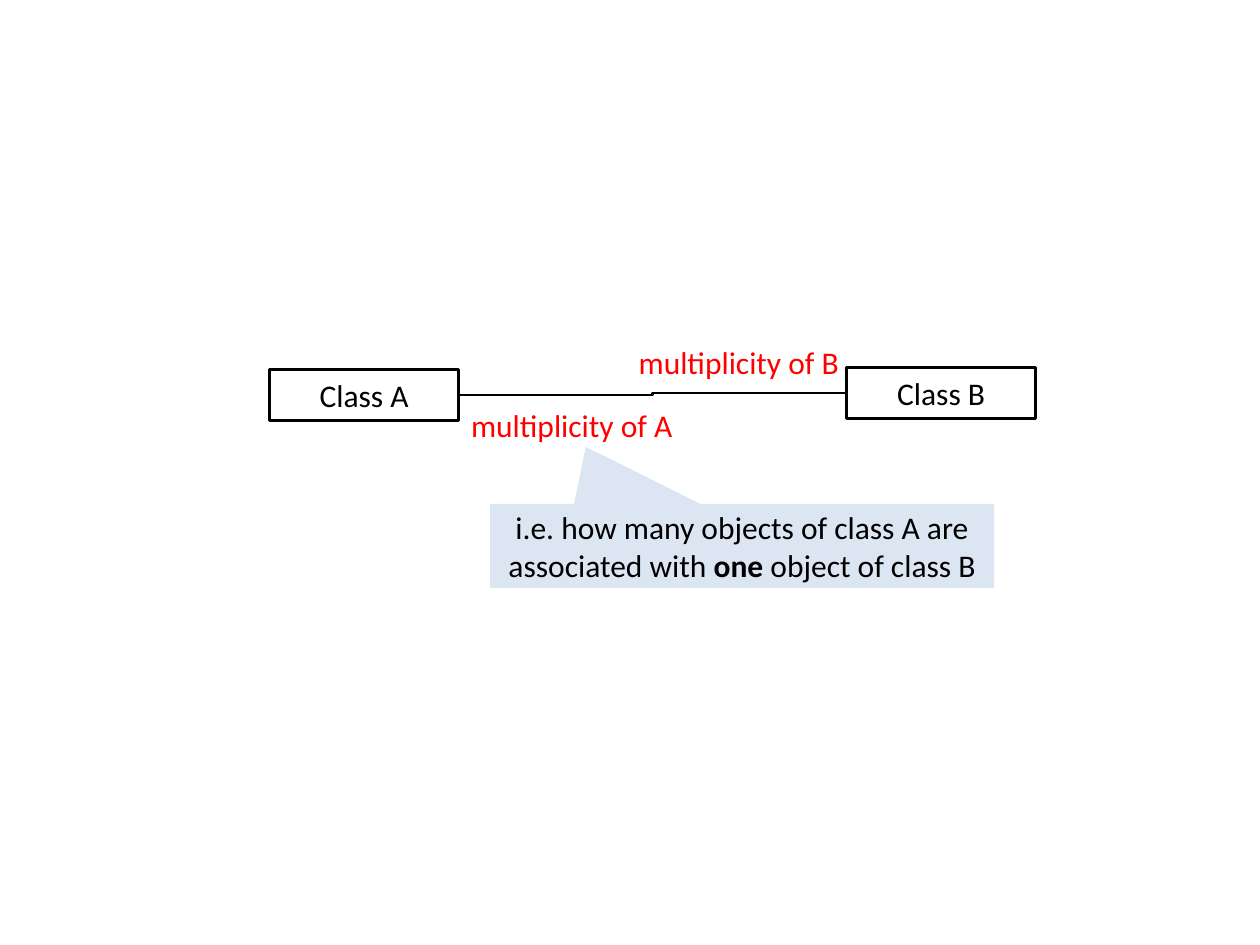
from lxml.etree import SubElement
from pptx import Presentation
from pptx.dml.color import RGBColor
from pptx.enum.shapes import MSO_CONNECTOR, MSO_SHAPE
from pptx.enum.text import MSO_ANCHOR, PP_ALIGN
from pptx.oxml.ns import qn
from pptx.util import Inches, Pt

COLORS = {"ink": "000000", "paper": "FFFFFF", "label": "FF0000", "note": "DCE6F2"}
WIDTH, HEIGHT = Inches(10), Inches(7.5)
LINE_WIDTH = Pt(1.5)
CLASS_SIZE = (15, 5.38)
LABEL_SIZE = (19.2, 5.38)


def color(name):
    return RGBColor.from_string(COLORS[name])


def place(left, top, width, height):
    """Turn percentages of the slide's size into lengths."""
    return [round(share * full / 100) for share, full in
            zip((left, top, width, height), (WIDTH, HEIGHT, WIDTH, HEIGHT))]


def write(tf, text, ink="ink", size=18, align=PP_ALIGN.CENTER,
          anchor=MSO_ANCHOR.MIDDLE, bold=None):
    tf.word_wrap = True
    tf.vertical_anchor = anchor
    p = tf.paragraphs[0]
    p.alignment = align
    before, strong, after = text.partition(bold) if bold else (text, "", "")
    for part in filter(None, (before, strong, after)):
        r = p.add_run()
        r.text = part
        r.font.name = "Calibri"
        r.font.size = Pt(size)
        r.font.bold = part == bold
        r.font.color.rgb = color(ink)


def add_block(s, kind, box, text, fill, line=None, **fmt):
    sp = s.shapes.add_shape(kind, *place(*box))
    sp.shadow.inherit = False
    sp.fill.solid()
    sp.fill.fore_color.rgb = color(fill)
    if line:
        sp.line.color.rgb = color(line)
        sp.line.width = LINE_WIDTH
    else:
        sp.line.fill.background()
    write(sp.text_frame, text, **fmt)
    return sp


def add_class(s, left, top, name):
    return add_block(s, MSO_SHAPE.RECTANGLE, (left, top, *CLASS_SIZE), name,
                     "paper", line="ink")


def add_association(s, start, end):
    cx = s.shapes.add_connector(MSO_CONNECTOR.ELBOW, 0, 0, 0, 0)
    cx.begin_connect(start, 3)
    cx.end_connect(end, 1)
    cx.line.color.rgb = color("ink")
    cx.line.width = LINE_WIDTH
    SubElement(cx._element.spPr, qn("a:effectLst"))


def add_label(s, left, top, text):
    sp = s.shapes.add_textbox(*place(left, top, *LABEL_SIZE))
    write(sp.text_frame, text, ink="label", align=PP_ALIGN.LEFT, anchor=MSO_ANCHOR.TOP)


def add_callout(s, box, tip, text, **fmt):
    sp = add_block(s, MSO_SHAPE.RECTANGULAR_CALLOUT, box, text, "note", **fmt)
    for i, offset in enumerate(tip):
        sp.adjustments[i] = offset


def main():
    prs = Presentation()
    prs.slide_width, prs.slide_height = WIDTH, HEIGHT
    s = prs.slides.add_slide(prs.slide_layouts[6])
    class_a = add_class(s, 21.4, 39.1, "Class A")
    class_b = add_class(s, 67.2, 38.9, "Class B")
    add_association(s, class_a, class_b)
    add_label(s, 49.7, 35.6, "multiplicity of B")
    add_label(s, 36.4, 42.3, "multiplicity of A")
    add_callout(s, (38.9, 53.33, 40, 8.89), (-0.31, -1.18),
                "i.e. how many objects of class A are associated with one object of class B",
                bold="one")
    prs.save("out.pptx")


if __name__ == "__main__":
    main()
